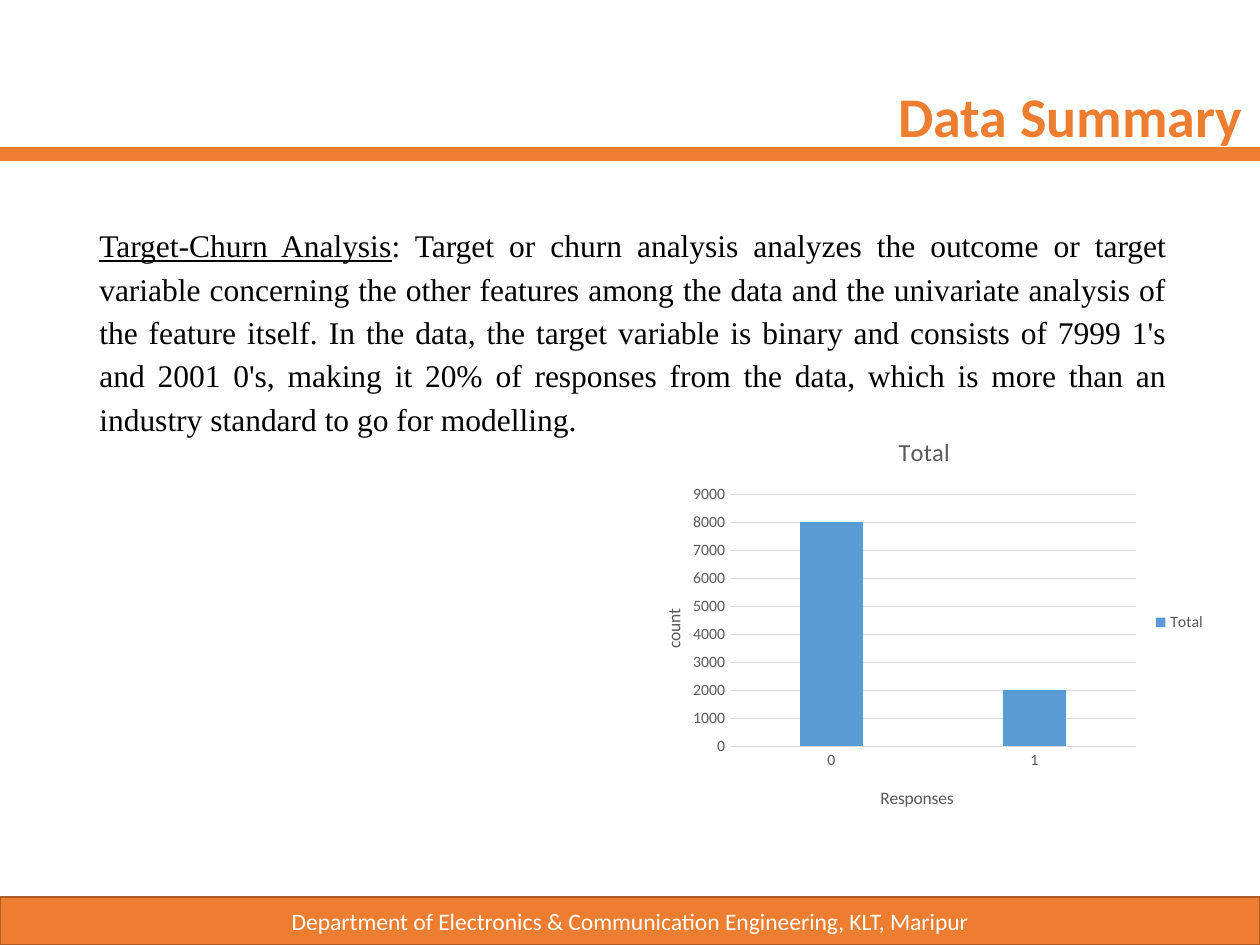
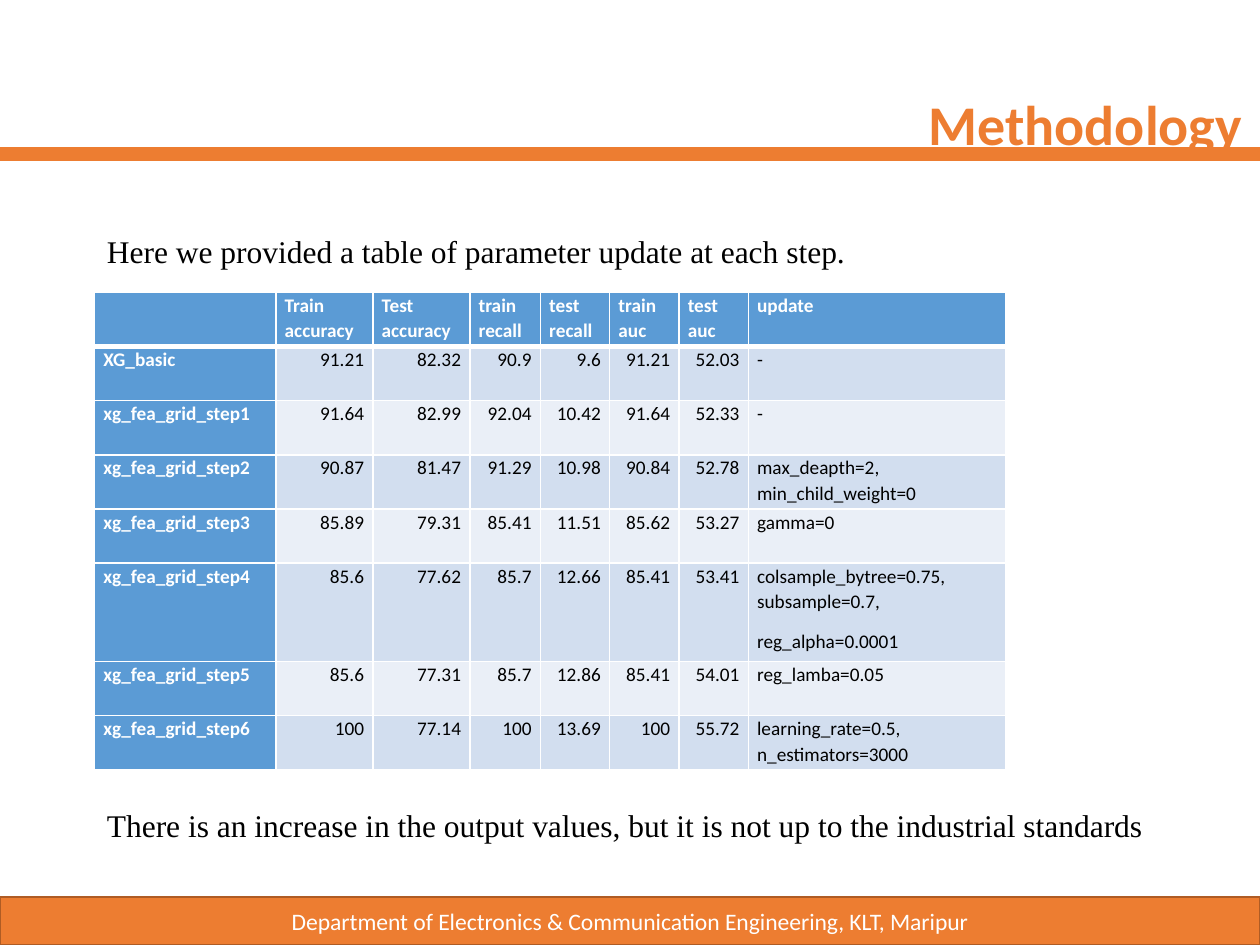
"""Build the data summary and methodology slides of the churn project."""
from lxml import etree
from pptx import Presentation
from pptx.chart.data import CategoryChartData
from pptx.dml.color import RGBColor
from pptx.enum.chart import XL_CHART_TYPE, XL_LEGEND_POSITION, XL_TICK_MARK
from pptx.enum.shapes import MSO_CONNECTOR, MSO_SHAPE
from pptx.enum.text import MSO_ANCHOR, MSO_AUTO_SIZE, PP_ALIGN
from pptx.oxml.ns import qn
from pptx.util import Inches, Pt

COLUMNS = XL_CHART_TYPE.COLUMN_CLUSTERED
LEGEND_RIGHT = XL_LEGEND_POSITION.RIGHT
NO_TICKS = XL_TICK_MARK.NONE
STRAIGHT = MSO_CONNECTOR.STRAIGHT
RECTANGLE = MSO_SHAPE.RECTANGLE
TOP, MIDDLE = MSO_ANCHOR.TOP, MSO_ANCHOR.MIDDLE
FIXED, GROW = MSO_AUTO_SIZE.NONE, MSO_AUTO_SIZE.SHAPE_TO_FIT_TEXT
LEFT, CENTER, RIGHT, JUSTIFY = PP_ALIGN.LEFT, PP_ALIGN.CENTER, PP_ALIGN.RIGHT, PP_ALIGN.JUSTIFY

HEX = {
    "orange": "ED7D31", "dark orange": "AF5C24", "blue": "5B9BD5",
    "band": "D2DEEF", "light band": "EAEFF7", "grey": "595959",
    "grid": "D9D9D9", "white": "FFFFFF", "black": "000000",
}
COLORS = {name: RGBColor.from_string(value) for name, value in HEX.items()}


def style_font(font, size, color, name="Calibri", bold=False):
    font.size, font.name, font.bold = Pt(size), name, bold
    font.color.rgb = COLORS[color]


def place_in_chart(parent, **fractions):
    for old in parent.findall(qn("c:layout")):
        parent.remove(old)
    layout = etree.Element(qn("c:layout"))
    manual = etree.SubElement(layout, qn("c:manualLayout"))
    if "w" in fractions:
        etree.SubElement(manual, qn("c:layoutTarget"), val="inner")
    for side in ("xMode", "yMode"):
        etree.SubElement(manual, qn(f"c:{side}"), val="edge")
    for key, value in fractions.items():
        etree.SubElement(manual, qn(f"c:{key}"), val=str(value))
    parent.insert(0 if parent.find(qn("c:tx")) is None else 1, layout)


prs = Presentation()
prs.slide_width, prs.slide_height = Inches(10), Inches(7.5)

slides = []
for heading, spacing in (("Data Summary", 0.9), ("Methodology", 1.0)):
    slide = prs.slides.add_slide(prs.slide_layouts[5])
    slides.append(slide)

    rule = slide.shapes.add_connector(STRAIGHT, 0, Inches(1.22), Inches(10), Inches(1.22))
    rule.line.color.rgb = COLORS["orange"]
    rule.line.width = Pt(8)
    etree.SubElement(rule._element.spPr, qn("a:effectLst"))

    footer = slide.shapes.add_shape(RECTANGLE, 0, Inches(7.12), Inches(10), Inches(0.38))
    footer.shadow.inherit = False
    footer.fill.solid()
    footer.fill.fore_color.rgb = COLORS["orange"]
    footer.line.color.rgb = COLORS["dark orange"]
    footer.line.width = Pt(1)
    footer.text_frame.vertical_anchor = MIDDLE
    department = footer.text_frame.paragraphs[0]
    department.text = "Department of Electronics & Communication Engineering, KLT, Maripur"
    department.alignment = CENTER
    style_font(department.font, 13.5, "white")

    title = slide.shapes.title
    title.left, title.top = Inches(3.19), Inches(0.66)
    title.width, title.height = Inches(6.77), Inches(0.48)
    title.text_frame.auto_size = FIXED
    title.text_frame.word_wrap = True
    title.text_frame.vertical_anchor = TOP
    title_line = title.text_frame.paragraphs[0]
    title_line.text = heading
    title_line.alignment = RIGHT
    title_line.line_spacing = spacing
    style_font(title_line.font, 32, "orange", bold=True)

summary, methodology = slides

responses = CategoryChartData()
responses.categories = ["0", "1"]
responses.add_series("Total", (8000, 2000))
chart = summary.shapes.add_chart(
    COLUMNS, Inches(5), Inches(3.3), Inches(4.67), Inches(3.28), responses).chart
style_font(chart.font, 10, "black")
chart.has_title = True
chart.chart_title.text_frame.text = "Total"
style_font(chart.chart_title.text_frame.paragraphs[0].font, 14, "grey")
chart.has_legend = True
chart.legend.position = LEGEND_RIGHT
chart.legend.include_in_layout = False
style_font(chart.legend.font, 9, "grey")

plot = chart.plots[0]
plot.gap_width, plot.overlap, plot.vary_by_categories = 219, -27, False
plot.series[0].format.fill.solid()
plot.series[0].format.fill.fore_color.rgb = COLORS["blue"]
place_in_chart(chart._chartSpace.chart.plotArea, x=0.17, y=0.19, w=0.69, h=0.61)

for axis, label, x, y in ((chart.category_axis, "Responses", 0.42, 0.89),
                          (chart.value_axis, "count", 0.05, 0.46)):
    axis.major_tick_mark = axis.minor_tick_mark = NO_TICKS
    style_font(axis.tick_labels.font, 9, "grey")
    axis.axis_title.text_frame.text = label
    style_font(axis.axis_title.text_frame.paragraphs[0].font, 10, "grey")
    place_in_chart(axis.axis_title._element, x=x, y=y)

count_axis = chart.value_axis
count_axis.minimum_scale, count_axis.maximum_scale, count_axis.major_unit = 0, 9000, 1000
count_axis.format.line.fill.background()
for line in (chart.category_axis.format.line, count_axis.major_gridlines.format.line):
    line.color.rgb = COLORS["grid"]
    line.width = Pt(0.75)

HEADER = ["", "Train accuracy", "Test accuracy", "train recall", "test recall",
          "train auc", "test auc", "update"]
STEPS = [
    ["XG_basic", "91.21", "82.32", "90.9", "9.6", "91.21", "52.03", "-"],
    ["xg_fea_grid_step1", "91.64", "82.99", "92.04", "10.42", "91.64", "52.33", "-"],
    ["xg_fea_grid_step2", "90.87", "81.47", "91.29", "10.98", "90.84", "52.78",
     "max_deapth=2, min_child_weight=0"],
    ["xg_fea_grid_step3", "85.89", "79.31", "85.41", "11.51", "85.62", "53.27", "gamma=0"],
    ["xg_fea_grid_step4", "85.6", "77.62", "85.7", "12.66", "85.41", "53.41",
     "colsample_bytree=0.75, subsample=0.7,\nreg_alpha=0.0001"],
    ["xg_fea_grid_step5", "85.6", "77.31", "85.7", "12.86", "85.41", "54.01", "reg_lamba=0.05"],
    ["xg_fea_grid_step6", "100", "77.14", "100", "13.69", "100", "55.72",
     "learning_rate=0.5, n_estimators=3000"],
]
WIDTHS = [1.44, 0.77, 0.77, 0.56, 0.55, 0.55, 0.55, 2.04]
UPDATE = len(HEADER) - 1

steps_table = methodology.shapes.add_table(
    len(STEPS) + 1, len(HEADER), Inches(0.75), Inches(2.32), Inches(7.23), Inches(3.79)).table
for column, width in zip(steps_table.columns, WIDTHS):
    column.width = Inches(width)

for r, values in enumerate([HEADER] + STEPS):
    steps_table.rows[r].height = Inches(0.78 if "\n" in values[UPDATE] else 0.43)
    for c, value in enumerate(values):
        is_heading = r == 0 or c == 0
        cell = steps_table.cell(r, c)
        cell.margin_left = cell.margin_right = Inches(0.07)
        cell.margin_top = cell.margin_bottom = 0
        for side in "LRTB":
            heavy = (r, side) in ((0, "B"), (1, "T"))
            border = etree.SubElement(cell._tc.get_or_add_tcPr(), qn(f"a:ln{side}"),
                                      w=str(Pt(3 if heavy else 1)))
            paint = etree.SubElement(border, qn("a:solidFill"))
            etree.SubElement(paint, qn("a:srgbClr"), val=HEX["white"])
        cell.fill.solid()
        cell.fill.fore_color.rgb = COLORS[
            "blue" if is_heading else "band" if r % 2 else "light band"]
        cell.text_frame.text = value
        for paragraph in cell.text_frame.paragraphs:
            paragraph.alignment = LEFT if is_heading or c == UPDATE else RIGHT
            paragraph.line_spacing = 1.07
            paragraph.space_after = Pt(8)
            style_font(paragraph.font, 11, "white" if is_heading else "black", bold=is_heading)

CHURN_TERM = "Target-Churn Analysis"
CHURN_TEXT = (
    ": Target or churn analysis analyzes the outcome or target variable concerning the other "
    "features among the data and the univariate analysis of the feature itself. In the data, "
    "the target variable is binary and consists of 7999 1's and 2001 0's, making it 20% of "
    "responses from the data, which is more than an industry standard to go for modelling.")
NOTES = [
    (summary, 0.69, 1.7, 8.67, 1.82, [CHURN_TERM, CHURN_TEXT]),
    (methodology, 0.75, 1.79, 6.18, 0.4,
     ["Here we provided a table of parameter update at each step."]),
    (methodology, 0.75, 6.35, 8.99, 0.4,
     ["There is an increase in the output values, but it is not up to the industrial standards"]),
]
for slide, left, top, width, height, pieces in NOTES:
    note = slide.shapes.add_textbox(Inches(left), Inches(top), Inches(width), Inches(height))
    note.text_frame.word_wrap = True
    note.text_frame.auto_size = GROW
    body = note.text_frame.paragraphs[0]
    style_font(body.font, 18, "black", "Times New Roman")
    for piece in pieces:
        run = body.add_run()
        run.text = piece
        if piece == CHURN_TERM:
            run.font.underline = True
            body.alignment = JUSTIFY
            body.line_spacing = 1.15
            body.space_after = Pt(8)

prs.save("out.pptx")
